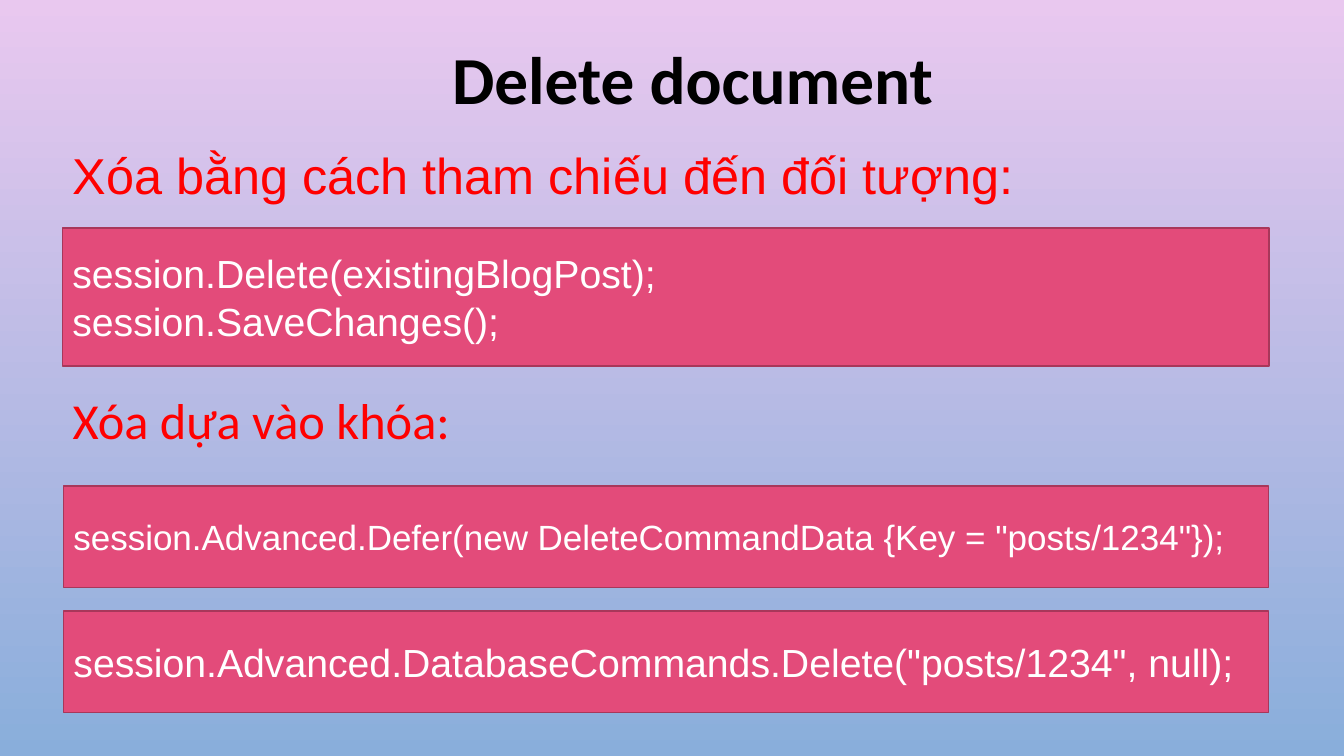
import dataclasses

import pptx
import pptx.dml.color
import pptx.enum.shapes
import pptx.enum.text
import pptx.oxml.xmlchemy
import pptx.util
import lxml.etree
import pptx.oxml.ns


@dataclasses.dataclass(frozen=True)
class Theme:
    sky_top: str = "E9C8EF"
    sky_bottom: str = "89AEDB"
    title: str = "000000"
    heading: str = "FF0000"
    code: str = "FFFFFF"
    panel: str = "E34B7A"
    border: str = "A8375A"
    title_size: int = 48
    heading_size: int = 36
    code_size: int = 28
    long_code_size: int = 25
    border_width: float = 1.25
    sans: str = "Arial"
    humanist: str = "Calibri"


THEME = Theme()
SLIDE_WIDTH = pptx.util.Inches(13.33)
SLIDE_HEIGHT = pptx.util.Inches(7.5)
LEFT = 4.65
PANEL_LEFT = 4.73
PANEL_WIDTH = 89.65
ROW_HEIGHT = 13.47


def color(value):
    return pptx.dml.color.RGBColor.from_string(value)


def set_values(target, values):
    for name, value in values.items():
        setattr(target, name, value)


def area(left, top, width, height):
    return {
        "left": int(SLIDE_WIDTH * left / 100),
        "top": int(SLIDE_HEIGHT * top / 100),
        "width": int(SLIDE_WIDTH * width / 100),
        "height": int(SLIDE_HEIGHT * height / 100),
    }


def write(box, lines, font, size, ink, anchor="TOP", align="LEFT", bold=False):
    frame = box.text_frame
    set_values(frame, {
        "text": "\n".join(lines),
        "word_wrap": True,
        "auto_size": pptx.enum.text.MSO_AUTO_SIZE.NONE,
        "vertical_anchor": pptx.enum.text.MSO_ANCHOR[anchor],
    })
    for para in frame.paragraphs:
        set_values(para, {
            "alignment": pptx.enum.text.PP_ALIGN[align],
            "space_before": pptx.util.Pt(0),
        })
        for span in para.runs:
            set_values(span.font, {"name": font, "size": pptx.util.Pt(size), "bold": bold})
            span.font.color.rgb = color(ink)


def paint_background(slide):
    fill = slide.background.fill
    fill.gradient()
    fill.gradient_angle = 270
    for stop, tint in zip(fill.gradient_stops, (THEME.sky_top, THEME.sky_bottom)):
        stop.color.rgb = color(tint)


def place_title(slide, text):
    box = slide.shapes.title
    set_values(box, area(18.23, 4.27, 66.62, 12.13))
    write(box, [text], THEME.humanist, THEME.title_size, THEME.title, align="CENTER", bold=True)


def place_heading(box, text, font, top, width):
    set_values(box, area(LEFT, top, width, ROW_HEIGHT))
    write(box, [text], font, THEME.heading_size, THEME.heading)
    for para in box.text_frame.paragraphs:
        properties = para._p.get_or_add_pPr()
        properties.set("marL", "0")
        properties.set("indent", "0")
        lxml.etree.SubElement(properties, pptx.oxml.ns.qn("a:buNone"))


def add_code_panel(slide, lines, size, left, top, width, height):
    panel = slide.shapes.add_shape(
        pptx.enum.shapes.MSO_SHAPE.RECTANGLE, **area(left, top, width, height))
    panel.shadow.inherit = False
    panel.fill.solid()
    panel.fill.fore_color.rgb = color(THEME.panel)
    panel.line.color.rgb = color(THEME.border)
    panel.line.width = pptx.util.Pt(THEME.border_width)
    write(panel, lines, THEME.sans, size, THEME.code, anchor="MIDDLE")


def main():
    deck = pptx.Presentation()
    set_values(deck, {"slide_width": SLIDE_WIDTH, "slide_height": SLIDE_HEIGHT})
    slide = deck.slides.add_slide(deck.slide_layouts.get_by_name("Two Content"))
    paint_background(slide)
    place_title(slide, "Delete document")
    place_heading(slide.placeholders[1], "Xóa bằng cách tham chiếu đến đối tượng:",
                  THEME.sans, 18.4, 77.79)
    place_heading(slide.placeholders[2], "Xóa dựa vào khóa:", THEME.humanist, 50.8, 53.79)
    add_code_panel(slide, ["session.Delete(existingBlogPost);", "session.SaveChanges();"],
                   THEME.code_size, LEFT, 30.13, 89.8, 18.27)
    key_commands = (
        ('session.Advanced.Defer(new DeleteCommandData {Key = "posts/1234"});',
         THEME.long_code_size, 64.27),
        ('session.Advanced.DatabaseCommands.Delete("posts/1234", null);',
         THEME.code_size, 80.8),
    )
    for command, size, top in key_commands:
        add_code_panel(slide, [command], size, PANEL_LEFT, top, PANEL_WIDTH, ROW_HEIGHT)
    deck.save("out.pptx")


if __name__ == "__main__":
    main()
